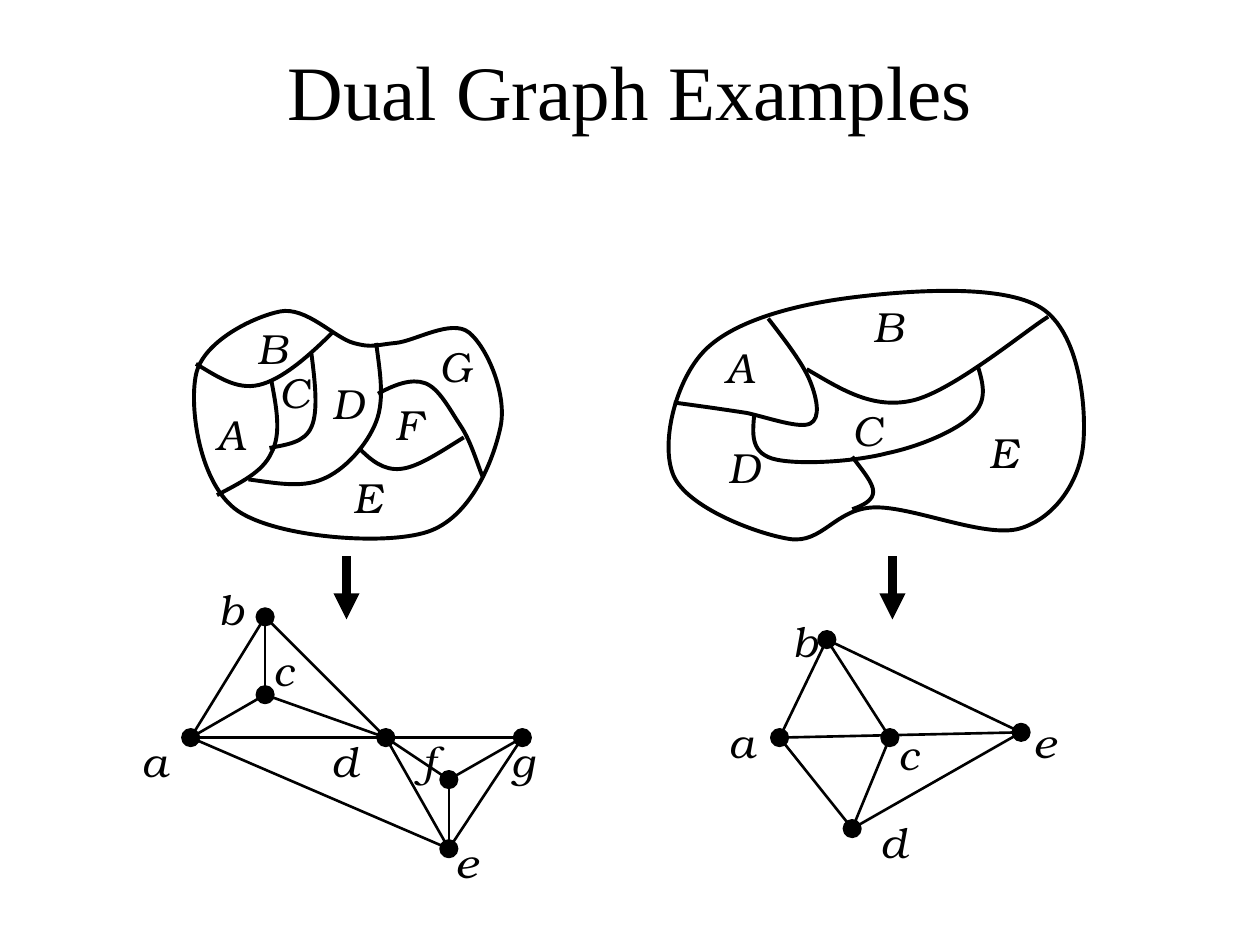
from dataclasses import dataclass

from lxml import etree
from pptx import Presentation
from pptx.dml.color import RGBColor
from pptx.enum.shapes import MSO_CONNECTOR, MSO_SHAPE
from pptx.enum.text import MSO_ANCHOR, MSO_AUTO_SIZE, PP_ALIGN
from pptx.oxml.ns import qn
from pptx.util import Pt

STRAIGHT = MSO_CONNECTOR.STRAIGHT
OVAL = MSO_SHAPE.OVAL
CENTER = PP_ALIGN.CENTER
MIDDLE = MSO_ANCHOR.MIDDLE
FIT_SHAPE = MSO_AUTO_SIZE.SHAPE_TO_FIT_TEXT
NO_FIT = MSO_AUTO_SIZE.NONE
TITLE_ONLY = 5


@dataclass(frozen=True)
class Theme:
    ink: RGBColor = RGBColor(0, 0, 0)
    title_font: str = "Times New Roman"
    label_font: str = "TeX Gyre Bonum"
    title_size: float = 44
    label_size: float = 24
    border: float = 2.25
    edge: float = 1.5
    arrow: float = 5
    dot: float = 9.4


THEME = Theme()

# Map borders: a start point, then two control points and an end point per curve
LEFT_OUTLINE = [
    (226, 196), (215, 197), (213, 199), (202, 196), (191, 193), (175, 175), (160, 178),
    (145, 181), (116, 195), (112, 214), (108, 233), (114, 277), (136, 292),
    (158, 307), (219, 312), (244, 304), (269, 296), (282, 263), (286, 244),
    (290, 225), (278, 198), (268, 190), (258, 182), (237, 195), (226, 196)]
LEFT_BORDERS = [
    [(112, 208), (124, 215), (135, 223), (148, 220), (161, 217), (176, 204), (190, 190)],
    [(155, 217), (158, 233), (161, 248), (155, 259), (150, 270), (137, 276), (124, 283)],
    [(154, 256), (164, 254), (174, 253), (178, 244), (182, 235), (180, 218), (178, 202)],
    [(142, 274), (157, 276), (172, 279), (184, 274), (197, 269), (210, 254), (215, 241),
     (220, 228), (217, 212), (215, 196)],
    [(216, 225), (225, 220), (235, 216), (243, 219), (251, 222), (257, 234), (263, 243),
     (269, 252), (272, 263), (276, 273)],
    [(205, 256), (212, 263), (219, 269), (229, 268), (239, 267), (252, 258), (265, 250)]]
RIGHT_OUTLINE = [
    (403, 200), (420, 183), (455, 174), (487, 170), (519, 166), (573, 162), (595, 176),
    (617, 190), (621, 233), (619, 254), (617, 275), (603, 296), (583, 302),
    (563, 308), (521, 289), (499, 290), (477, 291), (470, 311), (451, 308),
    (432, 305), (393, 290), (385, 272), (377, 254), (386, 217), (403, 200)]
RIGHT_BORDERS = [
    [(385, 230), (400, 232), (414, 234), (427, 236), (440, 239), (457, 245), (463, 242),
     (469, 239), (467, 228), (463, 218), (459, 208), (449, 195), (439, 182)],
    [(461, 211), (480, 222), (498, 234), (521, 229), (544, 224), (586, 189), (599, 181)],
    [(431, 237), (430, 248), (429, 258), (441, 262), (454, 266), (488, 264), (507, 259),
     (526, 255), (547, 246), (556, 237), (564, 229), (562, 220), (559, 210)],
    [(487, 261), (493, 269), (499, 276), (499, 281), (499, 286), (493, 289), (487, 291)]]

# Label positions: centre x, top y
LEFT_REGIONS = {"A": (132, 230), "B": (156, 181), "C": (168.5, 206), "D": (199, 212),
                "E": (210, 266), "F": (233.5, 224), "G": (260, 191)}
RIGHT_REGIONS = {"A": (423, 191.5), "B": (507.5, 168), "C": (495.5, 227.5),
                 "D": (425, 248.5), "E": (573.5, 240)}
LEFT_NAMES = {"a": (88.5, 417), "b": (132, 330), "c": (162, 365), "d": (197, 417),
              "e": (267, 474.5), "f": (245, 417), "g": (299, 417)}
RIGHT_NAMES = {"a": (424, 406), "b": (460, 348), "c": (519, 412.5), "d": (511, 463),
               "e": (597, 406)}

# Dual graphs: vertex centres, and edges as pairs of vertices
LEFT_VERTICES = {"a": (109, 421.5), "b": (151.5, 352.5), "c": (151.5, 397),
                 "d": (220.5, 421.5), "e": (256.5, 485), "f": (256.5, 445.5),
                 "g": (298.5, 421.5)}
LEFT_EDGES = "ac bc ab bd cd ag de df gf ge fe ae".split()
RIGHT_VERTICES = {"a": (445.5, 421.5), "b": (472.5, 365.5), "c": (508.5, 421.5),
                  "d": (487, 473.5), "e": (583.5, 418.5)}
RIGHT_EDGES = "ab bc be ae cd ad de".split()


def add_run(p, text, font, size, italic=False):
    r = p.add_run()
    r.text = text
    r.font.name = font
    r.font.size = Pt(size)
    r.font.italic = italic
    r.font.color.rgb = THEME.ink


def set_title(s, text):
    sp = s.shapes.title
    sp.left, sp.top, sp.width, sp.height = Pt(36), Pt(12), Pt(648), Pt(78)
    tf = sp.text_frame
    tf.vertical_anchor = MIDDLE
    tf.auto_size = NO_FIT
    p = tf.paragraphs[0]
    p.alignment = CENTER
    add_run(p, text, THEME.title_font, THEME.title_size)


def add_label(s, text, x, top):
    sp = s.shapes.add_textbox(Pt(x - 16), Pt(top), Pt(32), Pt(36))
    tf = sp.text_frame
    tf.word_wrap = False
    tf.auto_size = FIT_SHAPE
    p = tf.paragraphs[0]
    p.alignment = CENTER
    add_run(p, text, THEME.label_font, THEME.label_size, italic=True)


def add_curve(s, points, close=False):
    builder = s.shapes.build_freeform(*points[0], scale=Pt(1))
    builder.add_line_segments(points[1:], close=close)
    sp = builder.convert_to_shape()
    # Join each three segments into one cubic curve
    segments = list(sp._element.iter(qn("a:lnTo")))
    for i in range(0, len(segments), 3):
        curve = etree.Element(qn("a:cubicBezTo"))
        segments[i].addprevious(curve)
        for segment in segments[i:i + 3]:
            curve.append(segment[0])
            segment.getparent().remove(segment)
    sp.fill.background()
    sp.line.color.rgb = THEME.ink
    sp.line.width = Pt(THEME.border)
    sp.shadow.inherit = False


def add_line(s, start, end, width, arrow=False):
    sp = s.shapes.add_connector(STRAIGHT, *(Pt(v) for v in (*start, *end)))
    sp.line.color.rgb = THEME.ink
    sp.line.width = Pt(width)
    if arrow:
        etree.SubElement(sp.line._get_or_add_ln(), qn("a:tailEnd"), type="triangle")
    etree.SubElement(sp._element.spPr, qn("a:effectLst"))


def add_dot(s, x, y):
    d = THEME.dot
    sp = s.shapes.add_shape(OVAL, Pt(x - d / 2), Pt(y - d / 2), Pt(d), Pt(d))
    sp.fill.solid()
    sp.fill.fore_color.rgb = THEME.ink
    sp.line.color.rgb = THEME.ink
    sp.line.width = Pt(THEME.edge)
    sp.shadow.inherit = False


def add_map(s, outline, borders, regions):
    add_curve(s, outline, close=True)
    for border in borders:
        add_curve(s, border)
    for name, (x, top) in regions.items():
        add_label(s, name, x, top)


def add_graph(s, vertices, edges, names):
    for a, b in edges:
        add_line(s, vertices[a], vertices[b], THEME.edge)
    for x, y in vertices.values():
        add_dot(s, x, y)
    for name, (x, top) in names.items():
        add_label(s, name, x, top)


def main():
    prs = Presentation()
    prs.slide_width, prs.slide_height = Pt(720), Pt(540)
    s = prs.slides.add_slide(prs.slide_layouts[TITLE_ONLY])
    set_title(s, "Dual Graph Examples")
    # Maps above, their dual graphs below
    add_map(s, LEFT_OUTLINE, LEFT_BORDERS, LEFT_REGIONS)
    add_map(s, RIGHT_OUTLINE, RIGHT_BORDERS, RIGHT_REGIONS)
    add_graph(s, RIGHT_VERTICES, RIGHT_EDGES, RIGHT_NAMES)
    add_graph(s, LEFT_VERTICES, LEFT_EDGES, LEFT_NAMES)
    for x in (198, 510):
        add_line(s, (x, 318), (x, 354), THEME.arrow, arrow=True)
    prs.save("out.pptx")


main()
